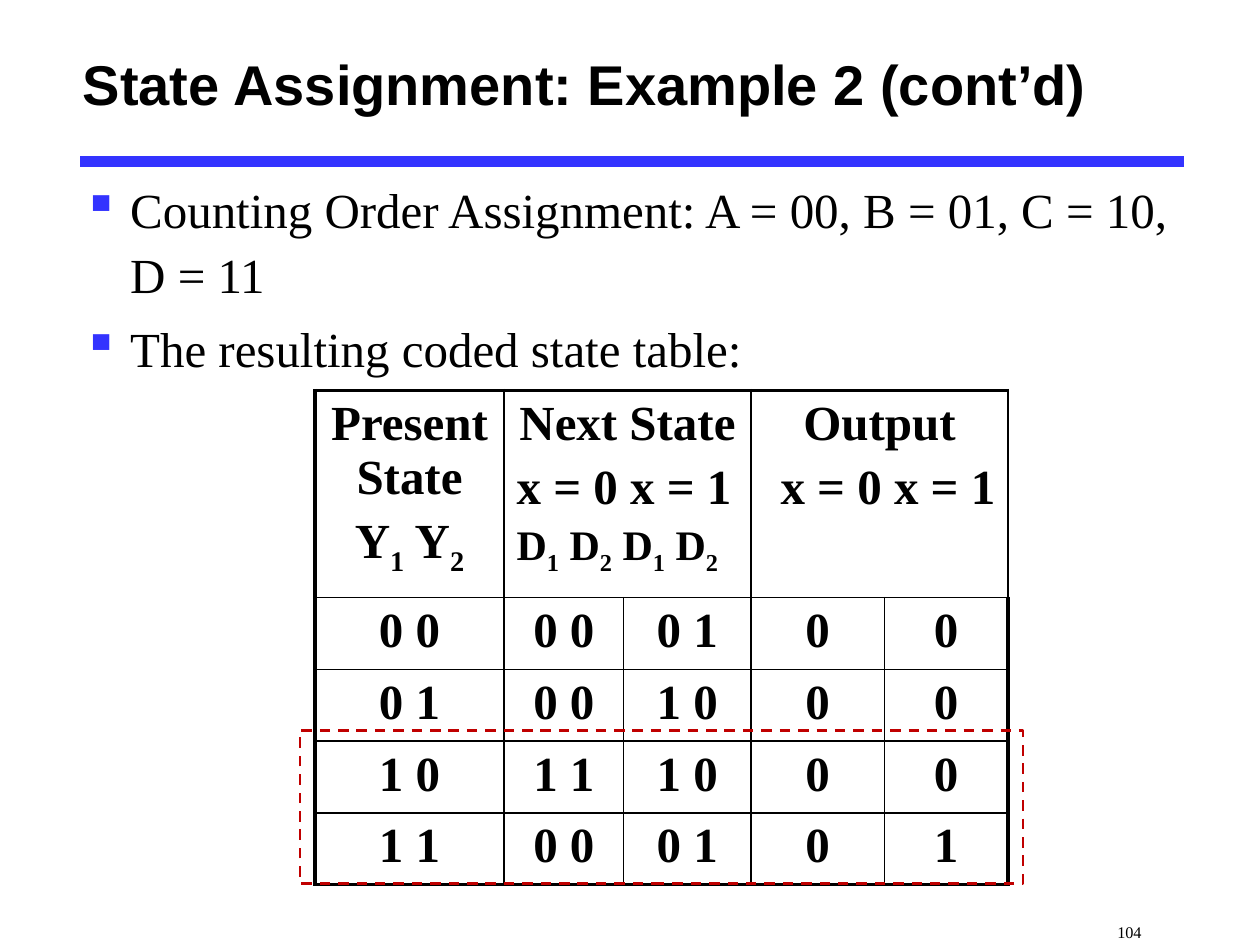
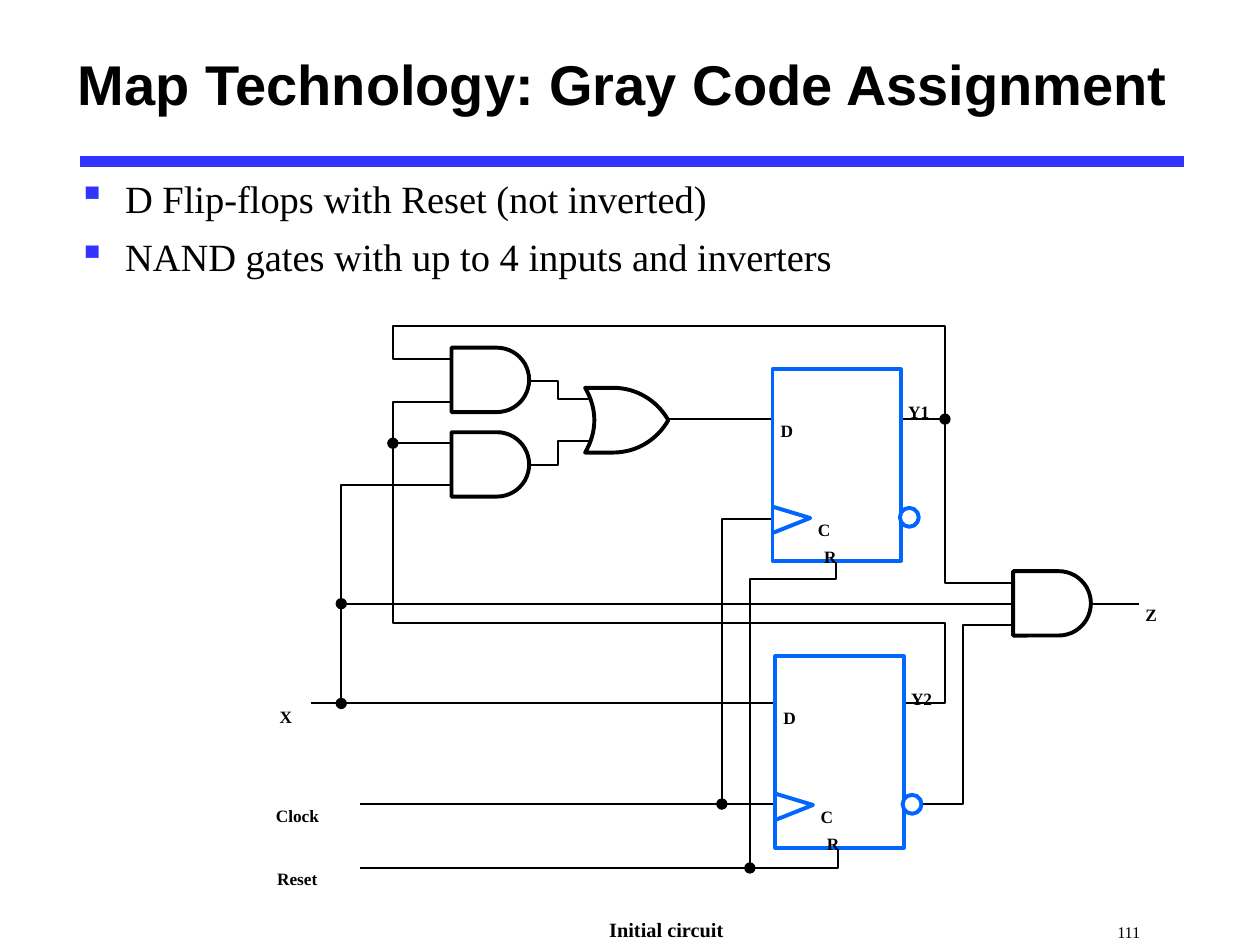
from dataclasses import dataclass
from math import cos, pi, sin

from lxml import etree
from pptx import Presentation
from pptx.dml.color import RGBColor
from pptx.enum import dml, shapes, text
from pptx.oxml import ns
from pptx.util import Pt


@dataclass(frozen=True)
class Theme:
    ink: str = "000000"
    paper: str = "FFFFFF"
    band: str = "3333FF"
    flop: str = "0066FF"
    mark: str = "C00000"
    head: str = "Arial"
    body: str = "Times New Roman"
    title: int = 32
    table: int = 28
    small: int = 24
    note: int = 20
    label: int = 17
    page: int = 16
    thin: float = 1
    wire: float = 1.13
    bold: float = 2.25


T = Theme()
MID = text.PP_ALIGN.CENTER
LEFT = text.PP_ALIGN.LEFT
RIGHT = text.PP_ALIGN.RIGHT

# Title, bullets, page number, bullet size, left edge, body top
CODED = ("State Assignment: Example 2 (cont’d)",
         ["Counting Order Assignment: A = 00, B = 01, C = 10, D = 11",
          "The resulting coded state table:"], "104", 28, 40.3, 95.8)
MAPPED = ("Map Technology: Gray Code Assignment",
          ["D Flip-flops with Reset (not inverted)",
           "NAND gates with up to 4 inputs and inverters"], "111", 22, 37.4, 93.6)

# Header cells by column; "_" lowers the next character
HEADS = {
    0: [("Present State", MID, T.table), ("Y_1 Y_2", MID, T.table)],
    1: [("Next State", MID, T.table), ("x = 0 x = 1", LEFT, T.table),
        ("D_1 D_2 D_1 D_2", LEFT, T.small)],
    3: [("Output", MID, T.table), ("x = 0 x = 1", RIGHT, T.table)],
}
STATES = [
    ["0 0", "0 0", "0 1", "0", "0"],
    ["0 1", "0 0", "1 0", "0", "0"],
    ["1 0", "1 1", "1 0", "0", "0"],
    ["1 1", "0 0", "0 1", "0", "1"],
]
COLS = [108, 68.4, 72.7, 76.3, 70.6]
ROWS = [116] + [41] * 4

# Shared tracks of the circuit
XIN, FEED, CLK, RST, OUT = 195, 224.5, 412.5, 428.5, 540
YX, YCLK, YRST, YZ, YD = 402, 459.5, 496, 345, 239.5
WIRES = [
    [(280, 205.2), (FEED, 205.2), (FEED, 186.5), (OUT, 186.5), (OUT, 333), (598.5, 333)],
    [(280, 229.5), (FEED, 229.5), (FEED, 356.2), (OUT, 356.2), (OUT, YX), (178, YX)],
    [(590.5, 357), (550.5, 357), (550.5, YCLK), (206, YCLK)],
    [(478.8, 441.5), (478.8, YRST), (206, YRST)],
    [(268, 277), (XIN, 277), (XIN, YX)],
    [(XIN, YZ), (651, YZ)],
    [(FEED, 253.3), (270, 253.3)],
    [(269, 217.5), (318.7, 217.5), (318.7, 228), (348.5, 228)],
    [(269, 265.5), (318.7, 265.5), (318.7, 252.2), (348.5, 252.2)],
    [(OUT, YD), (355, YD)],
    [(482.5, 296.5), (CLK, 296.5), (CLK, YCLK)],
    [(RST, YRST), (RST, 331), (478, 331), (478, 301.5)],
]
DOTS = [(FEED, 253.3), (XIN, YZ), (XIN, YX), (CLK, YCLK), (OUT, YD), (RST, YRST)]
FLOPS = [(441.4, 211, "Y1"), (443, 375, "Y2")]
PINS = [("D", 4.7, 17.6), ("C", 26, 74.5), ("R", 29.5, 90)]
ANDS = [(579, 326.4), (258, 247), (258, 198.7)]
LABELS = [("Clock", 157.7, 448.6), ("Reset", 158.4, 484.6),
          ("X", 159.8, 392.4), ("Z", 654.5, 334)]


def rgb(code):
    return RGBColor.from_string(code)


def font(run, size, bold=False, face=T.body, low=False):
    run.font.size, run.font.bold, run.font.name = Pt(size), bold, face
    run.font.color.rgb = rgb(T.ink)
    if low:
        run._r.get_or_add_rPr().set("baseline", "-25000")


def box(slide, rect, words, size, align=LEFT, pad=True, wrap=True, mid=False, **look):
    item = slide.shapes.add_textbox(*map(Pt, rect))
    frame = item.text_frame
    frame.word_wrap = wrap
    if mid:
        frame.vertical_anchor = text.MSO_ANCHOR.MIDDLE
    if not pad:
        frame.margin_left = frame.margin_right = 0
        frame.margin_top = frame.margin_bottom = 0
    frame.text = words
    for para in frame.paragraphs:
        para.alignment = align
        font(para.runs[0], size, **look)
    return frame


def paint(item, line=None, width=T.bold, fill=None):
    item.shadow.inherit = False
    if fill:
        item.fill.solid()
        item.fill.fore_color.rgb = rgb(fill)
    else:
        item.fill.background()
    if line:
        item.line.color.rgb = rgb(line)
        item.line.width = Pt(width)
    else:
        item.line.fill.background()
    return item


def preset(slide, kind, rect, **look):
    return paint(slide.shapes.add_shape(kind, *map(Pt, rect)), **look)


def stroke(slide, start, end, color, width):
    line = slide.shapes.add_connector(
        shapes.MSO_CONNECTOR.STRAIGHT, *map(Pt, start + end))
    line.line.color.rgb, line.line.width = rgb(color), Pt(width)
    etree.SubElement(line._element.spPr, ns.qn("a:effectLst"))


def trace(slide, points, close=False, **look):
    spots = [(Pt(x), Pt(y)) for x, y in points]
    pen = slide.shapes.build_freeform(*spots[0])
    pen.add_line_segments(spots[1:], close=close)
    return paint(pen.convert_to_shape(), **look)


def bullet(para):
    prop = para._p.get_or_add_pPr()
    prop.set("marL", str(Pt(27)))
    prop.set("indent", str(-Pt(27)))
    tint = etree.SubElement(prop, ns.qn("a:buClr"))
    etree.SubElement(tint, ns.qn("a:srgbClr"), val=T.band)
    etree.SubElement(prop, ns.qn("a:buChar"), char="▪")


def base(deck, page):
    """Add a slide with its title, band, bullets and page number."""
    title, items, number, size, left, top = page
    slide = deck.slides.add_slide(deck.slide_layouts[6])
    stroke(slide, (46, 92.2), (676.8, 92.2), T.band, 6)
    box(slide, (left, 7.2, 656, 80.6), title, T.title, mid=True, bold=True, face=T.head)
    frame = box(slide, (left, top, 655, 135), "\n".join(items), size)
    for i, para in enumerate(frame.paragraphs):
        para.line_spacing = 1.1
        para.space_before = Pt(size / 5 if i else 0)
        bullet(para)
    box(slide, (631.4, 512.6, 80, 27), number, T.page, low=True)
    return slide


def rich(para, words, size):
    first, *rest = words.split("_")
    parts = [(first, False)]
    for part in rest:
        parts += [(part[0], True), (part[1:], False)]
    for part, low in parts:
        if part:
            run = para.add_run()
            run.text = part
            font(run, size, bold=True, low=low)


def edge(cell, row, col):
    heavy = {"L": col == 0, "R": col == len(COLS) - 1,
             "T": row == 0, "B": row == len(ROWS) - 1}
    prop = cell._tc.get_or_add_tcPr()
    for side, thick in heavy.items():
        width = Pt(T.bold if thick else T.thin)
        line = etree.SubElement(prop, ns.qn("a:ln" + side), w=str(width))
        fill = etree.SubElement(line, ns.qn("a:solidFill"))
        etree.SubElement(fill, ns.qn("a:srgbClr"), val=T.ink)
    cell.fill.background()


def chart_states(slide):
    """Draw the coded state table and mark its last two rows."""
    left, top = 180, 223.2
    grid = slide.shapes.add_table(len(ROWS), len(COLS), Pt(left), Pt(top),
                                  Pt(sum(COLS)), Pt(sum(ROWS))).table
    grid.first_row = grid.horz_banding = False
    for col, width in zip(grid.columns, COLS):
        col.width = Pt(width)
    for row, height in zip(grid.rows, ROWS):
        row.height = Pt(height)
    for col in (1, 3):
        grid.cell(0, col).merge(grid.cell(0, col + 1))
    for r in range(len(ROWS)):
        for c in range(len(COLS)):
            cell = grid.cell(r, c)
            edge(cell, r, c)
            lines = [(STATES[r - 1][c], MID, T.table)] if r else HEADS.get(c, [])
            frame = cell.text_frame
            for i, (words, align, size) in enumerate(lines):
                para = frame.add_paragraph() if i else frame.paragraphs[0]
                para.alignment = align
                para.space_before = Pt(size / 5 if i else 0)
                rich(para, words, size)
    frame = preset(slide, shapes.MSO_SHAPE.RECTANGLE, (171.4, 417.6, 413.3, 87.1),
                   line=T.mark, width=1.5)
    frame.line.dash_style = dml.MSO_LINE.DASH


def bend(a, b, c, d, steps=16):
    """Sample a cubic curve from a to d."""
    spots = []
    for i in range(steps + 1):
        t = i / steps
        mix = ((1 - t) ** 3, 3 * t * (1 - t) ** 2, 3 * t * t * (1 - t), t ** 3)
        spots.append(tuple(sum(m * p[k] for m, p in zip(mix, (a, b, c, d)))
                           for k in (0, 1)))
    return spots


def and_gate(slide, x, y):
    rad, flat, steps = 18.4, 26, 24
    arc = [(x + flat + rad * sin(pi * i / steps), y + rad - rad * cos(pi * i / steps))
           for i in range(steps + 1)]
    trace(slide, [(x, y)] + arc + [(x, y + 2 * rad)], close=True,
          line=T.ink, fill=T.paper)


def or_gate(slide, x, y):
    high, nose = 37, (x + 47.5, y + 18.5)
    back = bend((x, y + high), (x + 7, y + 25), (x + 7, y + 12), (x, y))
    roof = bend((x + 16, y), (x + 29, y), (x + 41, y + 7), nose)
    base = bend(nose, (x + 41, y + 30), (x + 29, y + high), (x + 16, y + high))
    trace(slide, back + roof + base, close=True, line=T.ink, fill=T.paper)


def label(slide, words, x, y):
    box(slide, (x, y, 44, 20), words, T.label, pad=False, wrap=False,
        bold=True, low=True)


def flop(slide, x, y, name):
    preset(slide, shapes.MSO_SHAPE.RECTANGLE, (x, y, 73.4, 109.4),
           line=T.flop, fill=T.paper)
    preset(slide, shapes.MSO_SHAPE.OVAL, (x + 72.8, y + 79.2, 10.8, 10.8),
           line=T.flop, fill=T.paper)
    trace(slide, [(x, y + 78.5), (x + 21.6, y + 85), (x, y + 93.6)], line=T.flop)
    for pin, dx, dy in PINS + [(name, 77.6, 7)]:
        label(slide, pin, x + dx, y + dy)


def circuit(slide):
    for wire in WIRES:
        if len(wire) == 2:
            stroke(slide, *wire, T.ink, T.wire)
        else:
            trace(slide, wire, line=T.ink, width=T.wire)
    for spot in FLOPS:
        flop(slide, *spot)
    for spot in ANDS:
        and_gate(slide, *spot)
    or_gate(slide, 334.4, 221.6)
    size = 6.5
    for x, y in DOTS:
        preset(slide, shapes.MSO_SHAPE.OVAL,
               (x - size / 2, y - size / 2, size, size), fill=T.ink)
    for spot in LABELS:
        label(slide, *spot)
    box(slide, (298, 507.6, 165.6, 33.8), "Initial circuit", T.note, align=MID,
        mid=True, bold=True, low=True)


def main():
    deck = Presentation()
    deck.slide_width, deck.slide_height = Pt(720), Pt(540)
    chart_states(base(deck, CODED))
    circuit(base(deck, MAPPED))
    deck.save("out.pptx")


if __name__ == "__main__":
    main()
